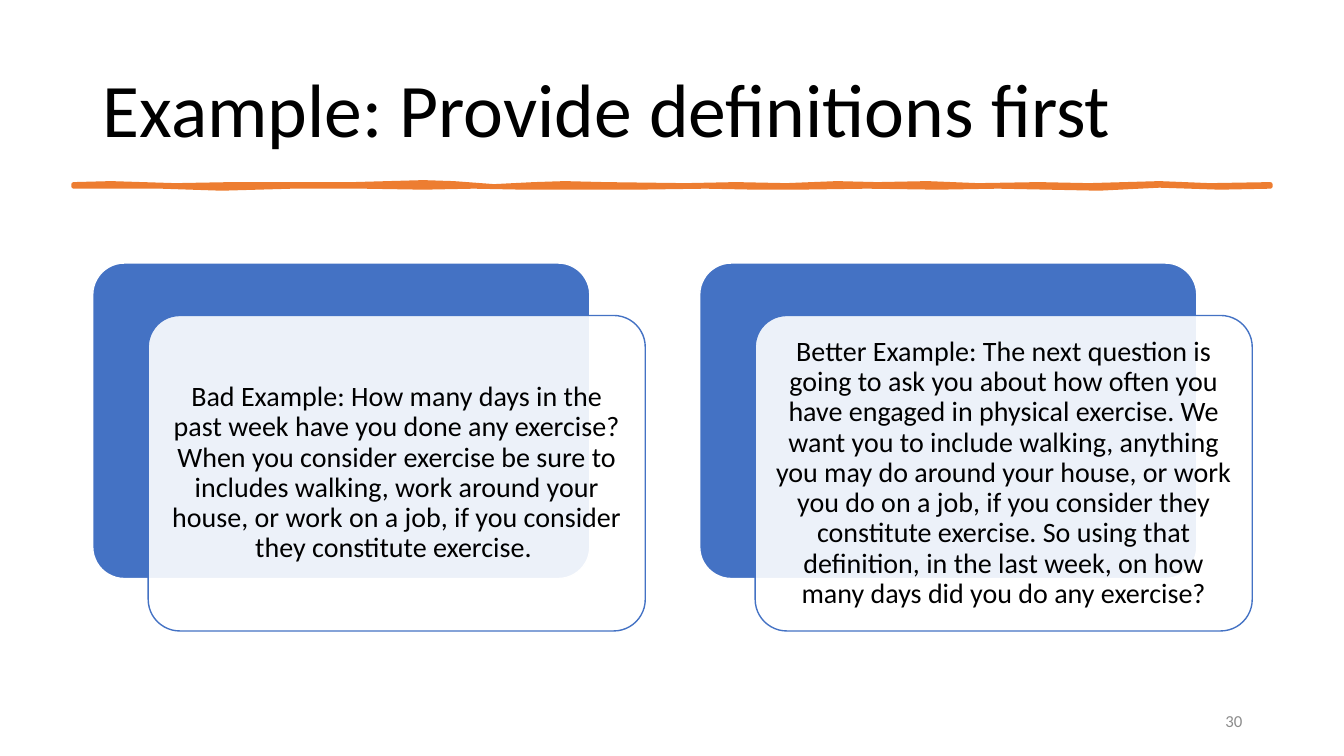
import pptx
import pptx.dml.color
import pptx.enum.shapes
import pptx.enum.text
import pptx.util
from lxml import etree
from pptx.oxml.ns import qn

Inches = pptx.util.Inches
Pt = pptx.util.Pt
RGBColor = pptx.dml.color.RGBColor
Align = pptx.enum.text.PP_ALIGN
Anchor = pptx.enum.text.MSO_ANCHOR
ROUNDED = pptx.enum.shapes.MSO_SHAPE.ROUNDED_RECTANGLE

TITLE = "Example: Provide definitions first"
EXAMPLES = [
    "Bad Example: How many days in the past week have you done any exercise? "
    "When you consider exercise be sure to includes walking, work around your "
    "house, or work on a job, if you consider they constitute exercise. ",
    "Better Example: The next question is going to ask you about how often you "
    "have engaged in physical exercise. We want you to include walking, anything "
    "you may do around your house, or work you do on a job, if you consider they "
    "constitute exercise. So using that definition, in the last week, on how many "
    "days did you do any exercise?",
]
PAGE_NUMBER = "30"

# Brush stroke under the title: upper edge left to right, lower edge back
UPPER_EDGE = [
    (0.73, 1.83), (1.1, 1.82), (1.74, 1.84), (2.3, 1.83), (2.84, 1.83),
    (3.5, 1.83), (4.2, 1.81), (4.5, 1.82), (4.9, 1.85), (5.3, 1.83),
    (5.6, 1.82), (6.0, 1.83), (6.8, 1.84), (7.3, 1.83), (7.8, 1.84),
    (8.3, 1.82), (8.7, 1.83), (9.2, 1.82), (9.7, 1.84), (10.3, 1.83),
    (10.8, 1.84), (11.5, 1.82), (12.0, 1.84), (12.6, 1.83),
]
LOWER_EDGE = [
    (12.6, 1.85), (12.1, 1.86), (11.5, 1.84), (10.9, 1.87), (10.4, 1.86),
    (9.9, 1.85), (9.3, 1.86), (8.6, 1.85), (7.9, 1.86), (7.5, 1.86),
    (7.0, 1.85), (6.3, 1.86), (5.6, 1.86), (5.2, 1.86), (4.7, 1.85),
    (4.2, 1.86), (3.6, 1.85), (2.9, 1.85), (2.2, 1.87), (1.6, 1.85),
    (0.73, 1.85),
]

FONT = "Calibri"
BLACK = RGBColor(0x00, 0x00, 0x00)
WHITE = RGBColor(0xFF, 0xFF, 0xFF)
GRAY = RGBColor(0x8C, 0x8C, 0x8C)
BLUE = RGBColor(0x44, 0x72, 0xC4)
ORANGE = RGBColor(0xED, 0x7D, 0x31)

CARD_WIDTH, CARD_HEIGHT = 4.93, 3.13
CARD_LEFT, CARD_TOP = 0.92, 2.61
CARD_PITCH = 6.02
FRONT_SHIFT = (0.55, 0.52)


def write(shape, text, size, color=BLACK, align=Align.LEFT, spacing=1.0, inset=None):
    frame = shape.text_frame
    frame.word_wrap = True
    frame.vertical_anchor = Anchor.MIDDLE
    if inset is not None:
        frame.margin_left = frame.margin_right = Inches(inset)
        frame.margin_top = frame.margin_bottom = Inches(inset)
    paragraph = frame.paragraphs[0]
    paragraph.alignment = align
    paragraph.line_spacing = spacing
    run = paragraph.add_run()
    run.text = text
    run.font.name = FONT
    run.font.size = Pt(size)
    run.font.color.rgb = color


def paint(shape, fill, line, weight):
    shape.shadow.inherit = False
    shape.fill.solid()
    shape.fill.fore_color.rgb = fill
    shape.line.color.rgb = line
    shape.line.width = Pt(weight)


def add_card(left, top, fill, line):
    card = slide.shapes.add_shape(
        ROUNDED, Inches(left), Inches(top), Inches(CARD_WIDTH), Inches(CARD_HEIGHT))
    card.adjustments[0] = 0.1
    paint(card, fill, line, 1)
    return card


def set_opacity(shape, percent):
    color = shape.fill._xPr.find(qn("a:solidFill"))[0]
    etree.SubElement(color, qn("a:alpha")).set("val", str(percent * 1000))


deck = pptx.Presentation()
deck.slide_width, deck.slide_height = Inches(13.33), Inches(7.5)
slide = deck.slides.add_slide(deck.slide_layouts[5])

title = slide.shapes.title
title.left, title.top = Inches(0.92), Inches(0.4)
title.width, title.height = Inches(11.5), Inches(1.45)
write(title, TITLE, 54, spacing=0.9)

outline = [(Inches(x), Inches(y)) for x, y in UPPER_EDGE + LOWER_EDGE]
builder = slide.shapes.build_freeform(*outline[0])
builder.add_line_segments(outline[1:], close=True)
brush_stroke = builder.convert_to_shape()
paint(brush_stroke, ORANGE, ORANGE, 3.25)
etree.SubElement(brush_stroke.line._get_or_add_ln(), qn("a:round"))

for column, example in enumerate(EXAMPLES):
    left = CARD_LEFT + column * CARD_PITCH
    add_card(left, CARD_TOP, BLUE, WHITE)
    front = add_card(left + FRONT_SHIFT[0], CARD_TOP + FRONT_SHIFT[1], WHITE, BLUE)
    set_opacity(front, 90)
    write(front, example, 20, align=Align.CENTER, spacing=0.9, inset=0.08)

page_number = slide.shapes.add_textbox(Inches(9.42), Inches(6.95), Inches(3), Inches(0.4))
write(page_number, PAGE_NUMBER, 12, color=GRAY, align=Align.RIGHT)

deck.save("out.pptx")
